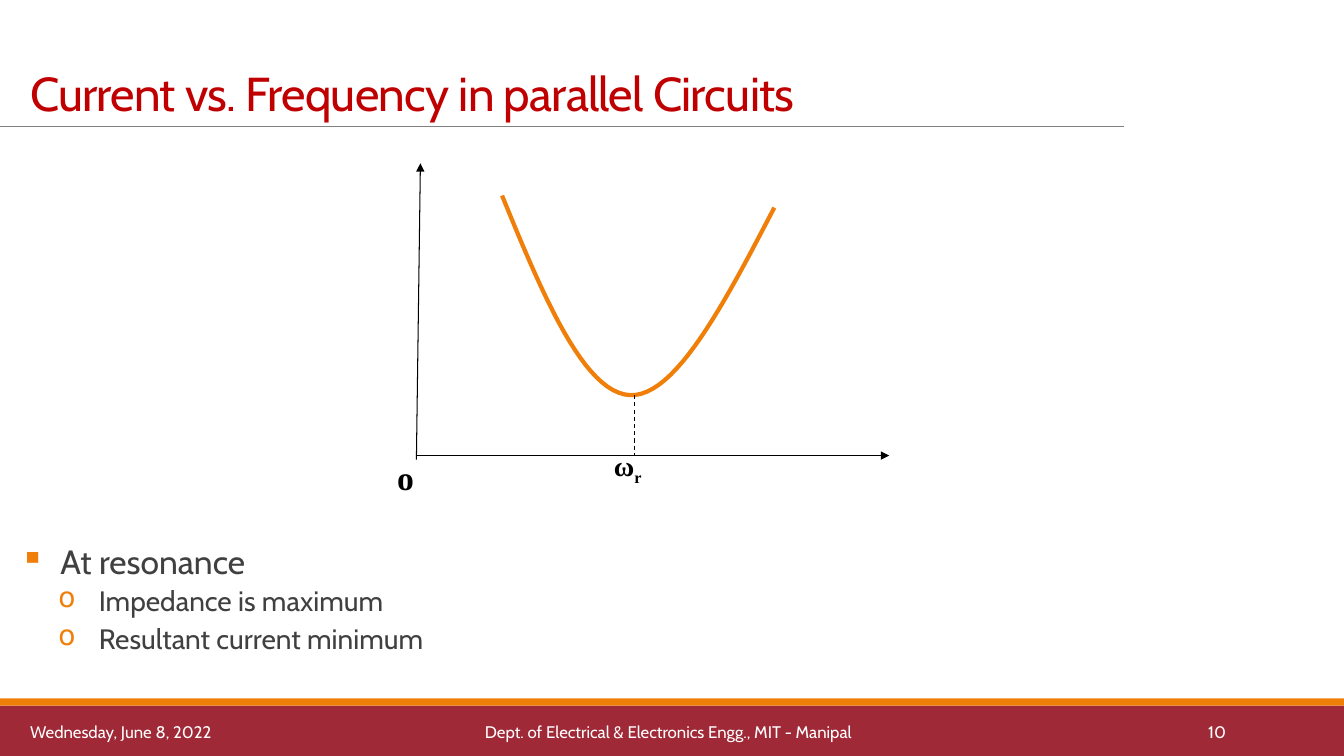
from lxml.etree import SubElement
from pptx import Presentation
from pptx.dml.color import RGBColor
from pptx.enum.dml import MSO_LINE
from pptx.enum.shapes import MSO_CONNECTOR, MSO_SHAPE
from pptx.enum.text import MSO_ANCHOR, MSO_AUTO_SIZE, PP_ALIGN
from pptx.oxml.ns import qn
from pptx.util import Inches, Pt

BLACK = RGBColor(0x00, 0x00, 0x00)
WHITE = RGBColor(0xFF, 0xFF, 0xFF)
GREY = RGBColor(0x80, 0x80, 0x80)
DARK_GREY = RGBColor(0x40, 0x40, 0x40)
RED = RGBColor(0xC0, 0x00, 0x00)
CRIMSON = RGBColor(0x9F, 0x29, 0x36)
ORANGE = RGBColor(0xF0, 0x7F, 0x09)
SANS = "Cabin"
SERIF = "Times New Roman"
CURVE_STEPS = 24
CURVE = [
    [(4.98, 1.94), (5.38, 2.92), (5.79, 3.9), (6.25, 3.92)],
    [(6.25, 3.92), (6.7, 3.94), (7.19, 3), (7.68, 2.06)],
]


def style(para, size, color, name=SANS, bold=False):
    para.font.size = Pt(size)
    para.font.name = name
    para.font.bold = bold
    para.font.color.rgb = color


def add_band(page, top, height, color):
    band = page.shapes.add_shape(
        MSO_SHAPE.RECTANGLE, 0, Inches(top), Inches(13.33), Inches(height))
    band.shadow.inherit = False
    band.fill.solid()
    band.fill.fore_color.rgb = color
    band.line.fill.background()


def add_line(page, start, end, color=BLACK, width=0.75, arrow=False, dashed=False):
    line = page.shapes.add_connector(
        MSO_CONNECTOR.STRAIGHT, *(Inches(value) for value in start + end))
    line.line.color.rgb = color
    line.line.width = Pt(width)
    if dashed:
        line.line.dash_style = MSO_LINE.DASH
    properties = line._element.spPr
    if arrow:
        SubElement(properties.find(qn("a:ln")), qn("a:tailEnd"), type="triangle")
    SubElement(properties, qn("a:effectLst"))


def add_box(page, left, top, width, height):
    box = page.shapes.add_textbox(
        Inches(left), Inches(top), Inches(width), Inches(height))
    box.text_frame.word_wrap = True
    return box.text_frame


def add_title(page, text):
    title = page.shapes.title
    title.left, title.top = Inches(0.2), Inches(-0.34)
    title.width, title.height = Inches(12.89), Inches(1.59)
    frame = title.text_frame
    frame.text = text
    frame.auto_size = MSO_AUTO_SIZE.NONE
    frame.vertical_anchor = MSO_ANCHOR.BOTTOM
    para = frame.paragraphs[0]
    para.alignment = PP_ALIGN.LEFT
    para.line_spacing = 0.85
    style(para, 34, RED)
    para.runs[0]._r.get_or_add_rPr().set("spc", "-50")


def add_footer(page, left, width, text, alignment):
    frame = add_box(page, left, 7.06, width, 0.4)
    frame.vertical_anchor = MSO_ANCHOR.MIDDLE
    para = frame.paragraphs[0]
    para.text = text
    para.alignment = alignment
    style(para, 12, WHITE)


def add_label(page, left, top, width, height, size, text, subscript=""):
    para = add_box(page, left, top, width, height).paragraphs[0]
    para.text = text
    style(para, size, BLACK, SERIF, bold=True)
    if subscript:
        span = para.add_run()
        span.text = subscript
        span._r.get_or_add_rPr().set("baseline", "-25000")


def bezier_point(corners, t):
    weights = ((1 - t) ** 3, 3 * t * (1 - t) ** 2, 3 * t ** 2 * (1 - t), t ** 3)
    return tuple(
        Inches(sum(weight * value for weight, value in zip(weights, axis)))
        for axis in zip(*corners))


def add_curve(page):
    points = [bezier_point(corners, step / CURVE_STEPS)
              for corners in CURVE for step in range(1, CURVE_STEPS + 1)]
    builder = page.shapes.build_freeform(*bezier_point(CURVE[0], 0))
    builder.add_line_segments(points, close=False)
    curve = builder.convert_to_shape()
    curve.shadow.inherit = False
    curve.fill.background()
    curve.line.color.rgb = ORANGE
    curve.line.width = Pt(3)


def add_bullet(para, text, level, mark, margin, size, before, after):
    para.text = text
    para.level = level
    para.line_spacing = 0.9
    para.space_before = Pt(before)
    para.space_after = Pt(after)
    properties = para._p.get_or_add_pPr()
    properties.set("marL", str(Inches(margin)))
    properties.set("indent", str(Inches(-0.4)))
    bullet_color = SubElement(properties, qn("a:buClr"))
    SubElement(bullet_color, qn("a:srgbClr"), val=str(ORANGE))
    SubElement(properties, qn("a:buChar"), char=mark)
    style(para, size, DARK_GREY)


def add_findings(page):
    frame = add_box(page, 0.2, 5.36, 12.89, 1.4)
    frame.margin_left = frame.margin_right = 0
    add_bullet(frame.paragraphs[0], "At resonance", 0, "▪", 0.4, 24, 0, 2)
    for text in ("Impedance is maximum", "Resultant current minimum"):
        add_bullet(frame.add_paragraph(), text, 1, "o", 0.78, 20, 2, 4)


def add_graph(page):
    add_line(page, (4.13, 4.56), (4.17, 1.62), arrow=True)
    add_line(page, (4.13, 4.52), (8.82, 4.52), arrow=True)
    add_curve(page)
    add_line(page, (6.29, 3.92), (6.29, 4.52), dashed=True)
    add_label(page, 5.99, 4.4, 0.68, 0.43, 20, "ω", "r")
    add_label(page, 3.84, 4.48, 0.42, 0.5, 24, "o")


def main():
    deck = Presentation()
    deck.slide_width, deck.slide_height = Inches(13.33), Inches(7.5)
    page = deck.slides.add_slide(deck.slide_layouts.get_by_name("Title Only"))
    add_band(page, 7, 0.5, CRIMSON)
    add_band(page, 6.93, 0.07, ORANGE)
    add_line(page, (0, 1.25), (11.15, 1.25), GREY, 0.5)
    add_title(page, "Current vs. Frequency in parallel Circuits")
    add_findings(page)
    add_footer(page, 0.2, 3.14, "Wednesday, June 8, 2022", PP_ALIGN.LEFT)
    add_footer(page, 3.59, 6.08,
               "Dept. of Electrical & Electronics Engg., MIT - Manipal", PP_ALIGN.CENTER)
    add_footer(page, 10.83, 1.43, "10", PP_ALIGN.RIGHT)
    add_graph(page)
    deck.save("out.pptx")


if __name__ == "__main__":
    main()
